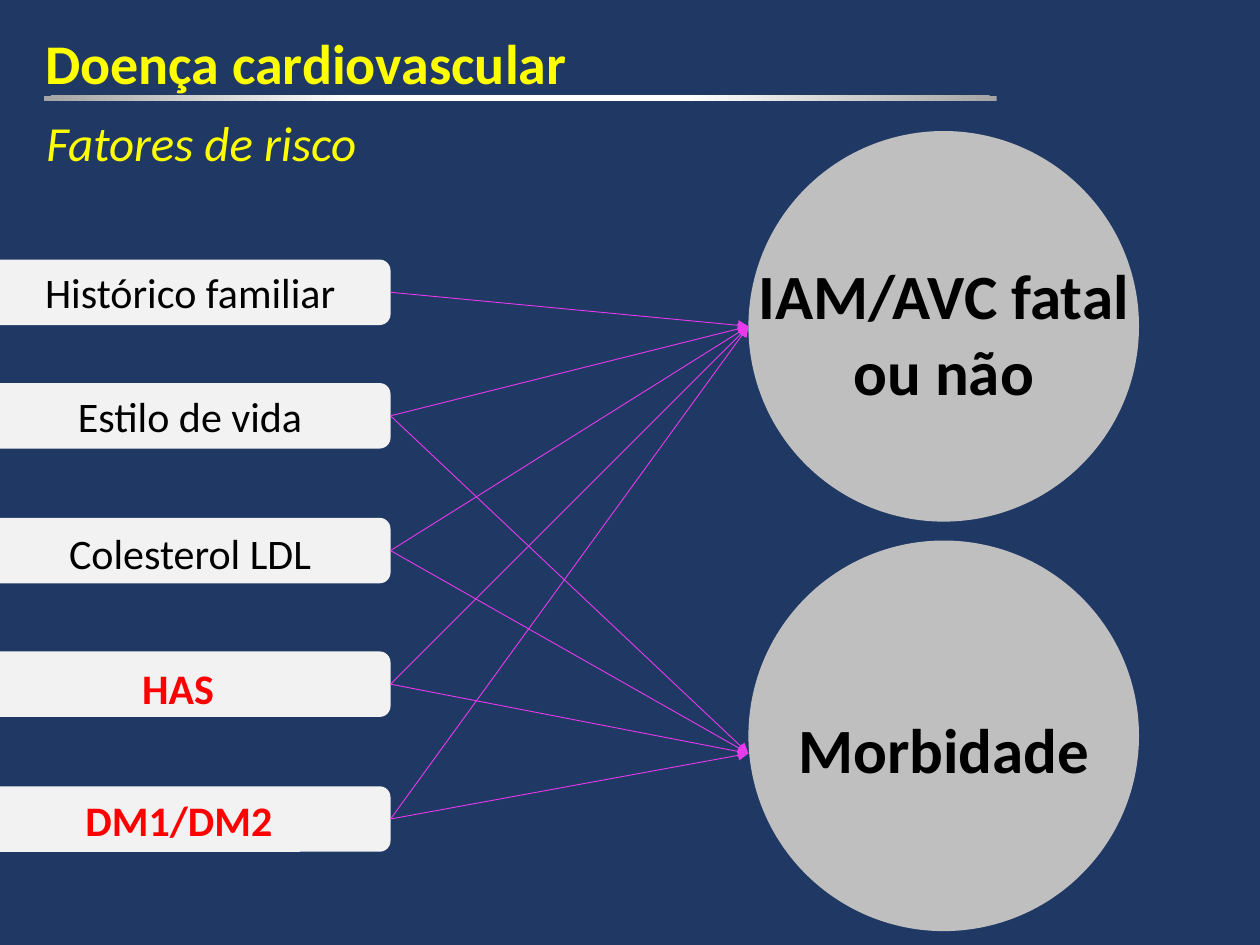
from lxml.etree import SubElement
from pptx import Presentation
from pptx.dml.color import RGBColor
from pptx.enum.shapes import MSO_CONNECTOR, MSO_SHAPE
from pptx.enum.text import PP_ALIGN
from pptx.oxml import parse_xml
from pptx.oxml.ns import nsdecls, qn
from pptx.util import Inches, Pt


def rgb(color):
    return RGBColor.from_string(color)


def add_text(text, x, y, w, h, size, color, bold=False, italic=False, align=None, wrap=True):
    tf = s.shapes.add_textbox(Inches(x), Inches(y), Inches(w), Inches(h)).text_frame
    tf.word_wrap = wrap
    tf.text = text
    p = tf.paragraphs[0]
    p.alignment = align
    f = p.runs[0].font
    f.name, f.size, f.bold, f.italic = "Calibri", Pt(size), bold, italic
    f.color.rgb = rgb(color)


prs = Presentation()
prs.slide_width, prs.slide_height = Inches(10), Inches(7.5)
s = prs.slides.add_slide(prs.slide_layouts[6])
s.background.fill.solid()
s.background.fill.fore_color.rgb = rgb("203864")

# Heading with a rule that fades to grey at both ends
add_text("Doença cardiovascular", 0.26, 0.18, 9.73, 1.42, 32, "FFFF00", bold=True)
rule = s.shapes.add_shape(MSO_SHAPE.RECTANGLE, Inches(0.35), Inches(0.76), Inches(7.56), Inches(0.04))
rule.shadow.inherit = False
rule.line.fill.background()
stops = "".join(f'<a:gs pos="{pos}000"><a:srgbClr val="{color}"/></a:gs>'
                for pos, color in [(0, "FFFFFF"), (35, "FFFFFF"), (100, "A5A5A5")])
rule._element.spPr.find(qn("a:prstGeom")).addnext(parse_xml(
    f'<a:gradFill {nsdecls("a")}><a:gsLst>{stops}</a:gsLst><a:path path="circle">'
    '<a:fillToRect l="50000" t="-80000" r="50000" b="180000"/></a:path></a:gradFill>'))
add_text("Fatores de risco", 0.27, 0.84, 2.67, 0.57, 28, "FFFF00", italic=True, wrap=False)

# Risk factors: bar top, label, label left, top and width, colour
bar_x, bar_w, bar_h = -0.43, 3.53, 0.52
factors = [
    (2.06, "Histórico familiar", 0.26, 2.07, 2.53, "000000"),
    (3.04, "Estilo de vida", 0.52, 3.05, 2.00, "000000"),
    (4.11, "Colesterol LDL", 0.45, 4.14, 2.14, "000000"),
    (5.17, "HAS", 1.03, 5.21, 0.78, "FF0000"),
    (6.24, "DM1/DM2", 0.58, 6.26, 1.70, "FF0000"),
]
for top, label, x, y, w, color in factors:
    bar = s.shapes.add_shape(MSO_SHAPE.ROUNDED_RECTANGLE, Inches(bar_x), Inches(top),
                             Inches(bar_w), Inches(bar_h))
    bar.shadow.inherit = False
    bar.fill.solid()
    bar.fill.fore_color.rgb = rgb("F2F2F2")
    bar.line.fill.background()
    add_text(label, x, y, w, 0.5, 24, color, bold=color == "FF0000", wrap=False)

# Outcomes: circle top, label, label top and height, arrow target, first linked factor
circle_x, circle_d = 5.94, 3.1
outcomes = [
    (1.04, "IAM/AVC fatal ou não", 1.99, 1.31, 2.59, 0),
    (4.29, "Morbidade", 5.59, 0.71, 5.98, 1),
]
for top, label, y, h, target, first in outcomes:
    circle = s.shapes.add_shape(MSO_SHAPE.OVAL, Inches(circle_x), Inches(top),
                                Inches(circle_d), Inches(circle_d))
    circle.shadow.inherit = False
    circle.fill.solid()
    circle.fill.fore_color.rgb = rgb("BFBFBF")
    circle.line.fill.background()
    add_text(label, 5.7, y, 3.58, h, 36, "000000", bold=True, align=PP_ALIGN.CENTER)
    for bar_top, *_ in factors[first:]:
        arrow = s.shapes.add_connector(MSO_CONNECTOR.STRAIGHT, Inches(bar_x + bar_w),
                                       Inches(bar_top + bar_h / 2), Inches(circle_x), Inches(target))
        arrow.line.color.rgb = rgb("E93AEC")
        arrow.line.width = Pt(0.5)
        SubElement(arrow.line._get_or_add_ln(), qn("a:tailEnd"), type="triangle")
        SubElement(arrow._element.spPr, qn("a:effectLst"))

prs.save("out.pptx")
